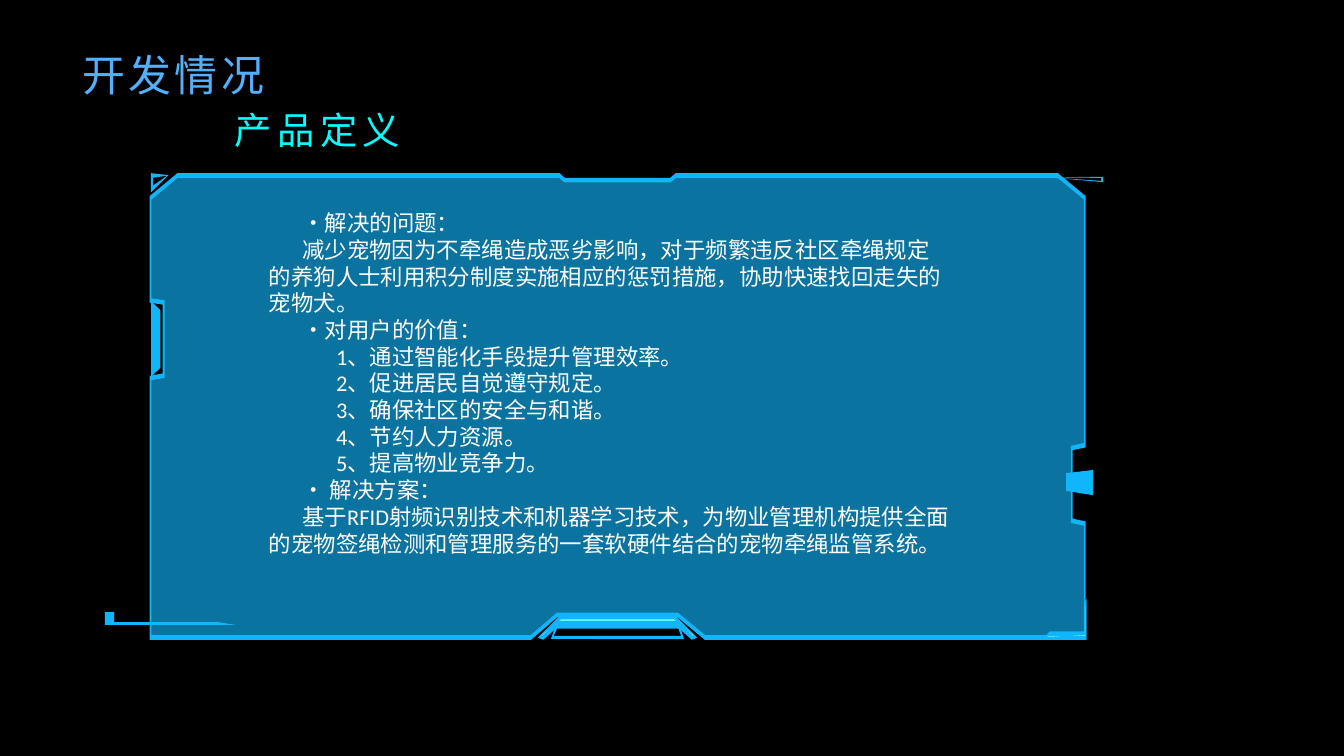
from math import hypot
from lxml.etree import SubElement
from pptx import Presentation
from pptx.dml.color import RGBColor
from pptx.enum.text import MSO_ANCHOR, MSO_AUTO_SIZE, PP_ALIGN
from pptx.oxml.ns import qn
from pptx.util import Pt

BLUE, CYAN = "10B5FB", "66F7F5"
LATIN, CJK = "Calibri", "Noto Sans CJK SC"

# Panel parts, in points from the top left of the panel
PANEL = [(29, 0), (438, 0), (443.5, 5), (557, 5), (563, 0), (972, 0),
         (1001, 24), (1001, 289), (987, 292), (987, 370), (1001, 373),
         (1001, 495), (594, 495), (565, 471), (435.5, 471), (407.5, 495),
         (0, 495), (0, 217), (14, 214.5), (14, 136), (0, 134), (0, 24)]
LEFT_TAB = [(1.5, 138), (9.5, 146), (9.5, 204.5), (1.5, 212)]
RIGHT_TAB = [(981, 319), (1010, 315.5), (1010, 342.5), (981, 338)]
ARCH = [(438, 475), (563, 475), (585, 495), (580, 495),
        (561, 478), (440, 478), (420.5, 495), (415.5, 495)]
BASE = [(430.5, 495), (435, 483), (566, 483), (570, 495)]
LEFT_BAR = [(-49, 468), (-39, 468), (-39, 478.5), (71.5, 478.5),
            (91, 481.5), (-49, 481.5)]
CORNER = [(1002, 495), (1002, 458), (1001, 459.5), (1001, 491),
          (963.5, 491), (958, 495)]
LEFT_TIP = [(1.5, 0), (18.5, 0), (1.5, 14.5)]
RIGHT_TIP = [(962, 2), (1019.5, 2), (1019.5, 6.5)]

# Body lines: text, level, left margin
LINES = [
    ("·|解决的问题：", 0, 0),
    ("减少宠物因为不牵绳造成恶劣影响，对于频繁违反社区牵绳规定的养狗人士"
     "利用积分制度实施相应的惩罚措施，协助快速找回走失的宠物犬。", 0, 0),
    ("·|对用户的价值：", 0, 0),
    ("1、通过智能化手段提升管理效率。", 1, 36),
    ("2、促进居民自觉遵守规定。", 1, 36),
    ("3、确保社区的安全与和谐。", 1, 36),
    ("4、节约人力资源。", 1, 36),
    ("5、提高物业竞争力。", 1, 36),
    ("· |解决方案：", 1, 0),
    ("基于RFID射频识别技术和机器学习技术，为物业管理机构提供全面的"
     "宠物签绳检测和管理服务的一套软硬件结合的宠物牵绳监管系统。", 0, 0),
]


def color(text):
    return RGBColor.from_string(text)


def shift(pts, pen, side):
    """Move an outline outwards or inwards by a pen of given half sizes."""
    wide, high = pen
    flat = [(x / wide, y / high) for x, y in pts]
    norms = []
    for (x, y), (u, v) in zip(flat, flat[1:] + flat[:1]):
        size = hypot(u - x, v - y)
        norms.append(((v - y) / size, (x - u) / size))
    out = []
    for i, (x, y) in enumerate(flat):
        (a, b), (c, d) = norms[i - 1], norms[i]
        k = side / max(1 + a * c + b * d, 0.5)
        out.append(((x + k * (a + c)) * wide, (y + k * (b + d)) * high))
    return out


def draw(slide, box, loops, fill, alpha=None):
    left, top = box[:2]
    loops = [[(Pt(left + x), Pt(top + y)) for x, y in loop] for loop in loops]
    path = slide.shapes.build_freeform(*loops[0][0])
    path.add_line_segments(loops[0][1:], close=True)
    for loop in loops[1:]:
        path.move_to(*loop[0])
        path.add_line_segments(loop[1:], close=True)
    shape = path.convert_to_shape()
    shape.shadow.inherit = False
    shape.fill.solid()
    shape.fill.fore_color.rgb = color(fill)
    shape.line.fill.background()
    if alpha:
        tint = shape.fill._xPr.find(".//" + qn("a:srgbClr"))
        SubElement(tint, qn("a:alpha"), val=str(alpha * 1000))


def rim(slide, box, pts, pen=(1, 2.5)):
    draw(slide, box, [shift(pts, pen, 1), shift(pts, pen, -1)[::-1]], BLUE)


def panel(slide, box):
    # Glass face and its edge
    draw(slide, box, [PANEL], BLUE, 64)
    rim(slide, box, PANEL)
    # Tips at the top corners
    rim(slide, box, LEFT_TIP)
    rim(slide, box, RIGHT_TIP, (1, 0.6))
    # Side tabs
    draw(slide, box, [LEFT_TAB], BLUE)
    rim(slide, box, LEFT_TAB)
    draw(slide, box, [RIGHT_TAB], BLUE)
    # Arch and base at the bottom
    draw(slide, box, [ARCH], CYAN)
    rim(slide, box, ARCH)
    rim(slide, box, BASE)
    # Bottom corners
    draw(slide, box, [LEFT_BAR], BLUE)
    draw(slide, box, [CORNER], CYAN)
    rim(slide, box, CORNER)


def setup(frame, size):
    frame.margin_left = frame.margin_right = 0
    frame.margin_top = frame.margin_bottom = 0
    frame.vertical_anchor = MSO_ANCHOR.TOP
    frame.word_wrap = True
    frame.auto_size = size


def style(run, size, fill, space=0, face=LATIN):
    font = run.font
    font.size, font.name = Pt(size), face
    font.color.rgb = color(fill)
    props = run._r.get_or_add_rPr()
    SubElement(props, qn("a:ea"), typeface=CJK)
    if space:
        props.set("spc", str(int(space * 100)))


def indent(para, left, first):
    props = para._p.get_or_add_pPr()
    props.set("marL", str(Pt(left)))
    props.set("indent", str(Pt(first)))


def head(shape, box, text, size, fill, space, align, lead):
    shape.left, shape.top, shape.width, shape.height = map(Pt, box)
    frame = shape.text_frame
    setup(frame, MSO_AUTO_SIZE.SHAPE_TO_FIT_TEXT)
    frame.text = text
    para = frame.paragraphs[0]
    para.alignment, para.line_spacing = align, Pt(lead)
    para.space_before = Pt(0)
    style(para.runs[0], size, fill, space)
    return para


def body(slide, box):
    frame = slide.shapes.add_textbox(*map(Pt, box)).text_frame
    setup(frame, MSO_AUTO_SIZE.NONE)
    for i, (text, level, left) in enumerate(LINES):
        para = frame.add_paragraph() if i else frame.paragraphs[0]
        para.level, para.line_spacing = level, Pt(28.6)
        indent(para, left, 36)
        for part in text.split("|"):
            run = para.add_run()
            run.text = part
            style(run, 24, "FFFFFF", face=CJK if part[0] == "·" else LATIN)


def main():
    deck = Presentation()
    deck.slide_width, deck.slide_height = Pt(1440), Pt(810)
    slide = deck.slides.add_slide(deck.slide_layouts[5])
    slide.background.fill.solid()
    slide.background.fill.fore_color.rgb = color("000000")

    panel(slide, (161.3, 188, 1001, 495))
    # Title and subtitle
    head(slide.shapes.title, (88, 52.5, 219.5, 55.5), "开发情况",
         46, "52B1FF", 3.8, PP_ALIGN.LEFT, 55.2)
    box = (216, 115, 233, 48)
    sub = head(slide.shapes.add_textbox(*map(Pt, box)), box, "产品定义",
               40, "00FFFF", 6, PP_ALIGN.CENTER, 48)
    indent(sub, 15, 0)
    body(slide, (288, 224.5, 729.5, 440))
    deck.save("out.pptx")


if __name__ == "__main__":
    main()
